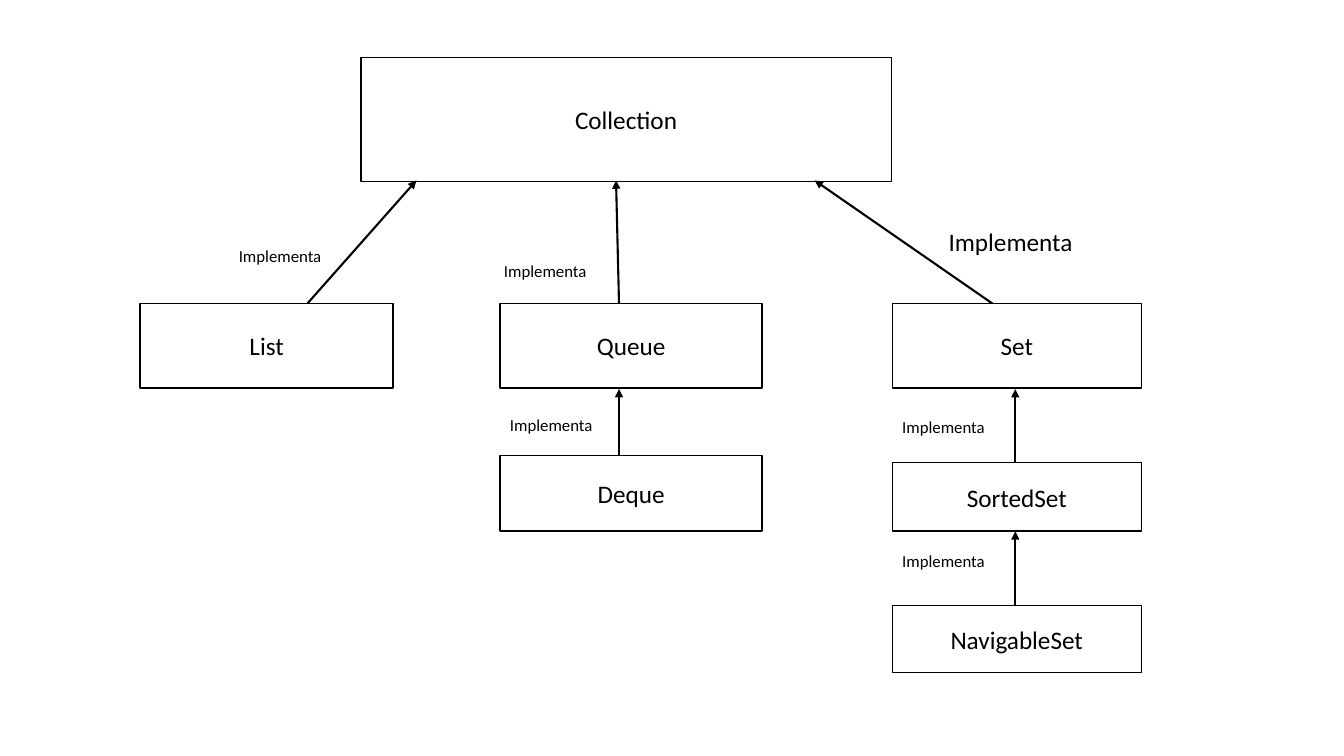
from lxml import etree
from pptx import Presentation
from pptx.dml.color import RGBColor
from pptx.enum import shapes, text
from pptx.oxml import ns
from pptx.util import Inches, Pt

THEME = {
    "font": "Calibri",
    "ink": RGBColor(0, 0, 0),
    "paper": RGBColor(255, 255, 255),
    "name_size": Pt(18),
    "label_size": Pt(12),
    "box_line": Pt(1),
    "arrow_line": Pt(1.5),
}

# Columns: left, width
LIST, QUEUE, SET = (1.39, 2.51), (4.96, 2.6), (8.85, 2.47)
ROOT = ("Collection", (3.58, 5.26), 0.57, 1.23)
# Name, column, top, height, arrow start, arrow end
CHILDREN = [
    ("List", LIST, 3.01, 0.84, (3.05, 3.01), (4.13, 1.79)),
    ("Queue", QUEUE, 3.01, 0.84, (6.14, 3.03), (6.11, 1.79)),
    ("Set", SET, 3.01, 0.84, (9.87, 3.03), (8.08, 1.79)),
    ("Deque", QUEUE, 4.52, 0.75, (6.14, 4.6), (6.14, 3.86)),
    ("SortedSet", SET, 4.59, 0.68, (10.07, 4.6), (10.07, 3.86)),
    ("NavigableSet", SET, 6.01, 0.66, (10.07, 6.01), (10.07, 5.27)),
]
RELATION = "Implementa"
# Left, top, height, type size
LABELS = [
    (2.27, 2.39, 0.3, "label_size"),
    (4.9, 2.54, 0.3, "label_size"),
    (4.96, 4.07, 0.3, "label_size"),
    (9.31, 2.2, 0.4, "name_size"),
    (8.85, 4.09, 0.3, "label_size"),
    (8.85, 5.41, 0.3, "label_size"),
]
LABEL_WIDTH = 1.54


def write(shape, words, size):
    shape.text_frame.word_wrap = True
    paragraph = shape.text_frame.paragraphs[0]
    paragraph.text = words
    paragraph.font.name = THEME["font"]
    paragraph.font.size = THEME[size]
    paragraph.font.color.rgb = THEME["ink"]
    return paragraph


def add_box(slide, name, column, top, height):
    left, width = column
    box = slide.shapes.add_shape(
        shapes.MSO_SHAPE.RECTANGLE,
        Inches(left), Inches(top), Inches(width), Inches(height))
    box.shadow.inherit = False
    box.fill.solid()
    box.fill.fore_color.rgb = THEME["paper"]
    box.line.color.rgb = THEME["ink"]
    box.line.width = THEME["box_line"]
    box.text_frame.vertical_anchor = text.MSO_ANCHOR.MIDDLE
    write(box, name, "name_size").alignment = text.PP_ALIGN.CENTER


def add_arrow(slide, start, end):
    points = [Inches(value) for value in start + end]
    arrow = slide.shapes.add_connector(shapes.MSO_CONNECTOR.STRAIGHT, *points)
    arrow.line.color.rgb = THEME["ink"]
    arrow.line.width = THEME["arrow_line"]
    line = arrow.line._get_or_add_ln()
    etree.SubElement(line, ns.qn("a:tailEnd"), type="triangle")
    etree.SubElement(arrow._element.spPr, ns.qn("a:effectLst"))


def add_label(slide, left, top, height, size):
    label = slide.shapes.add_textbox(
        Inches(left), Inches(top), Inches(LABEL_WIDTH), Inches(height))
    write(label, RELATION, size)
    label.text_frame.auto_size = text.MSO_AUTO_SIZE.SHAPE_TO_FIT_TEXT


def main():
    presentation = Presentation()
    presentation.slide_width = Inches(13.33)
    presentation.slide_height = Inches(7.5)
    slide = presentation.slides.add_slide(presentation.slide_layouts[6])

    add_box(slide, *ROOT)
    for name, column, top, height, start, end in CHILDREN:
        add_arrow(slide, start, end)
        add_box(slide, name, column, top, height)
    for label in LABELS:
        add_label(slide, *label)

    presentation.save("out.pptx")


if __name__ == "__main__":
    main()
